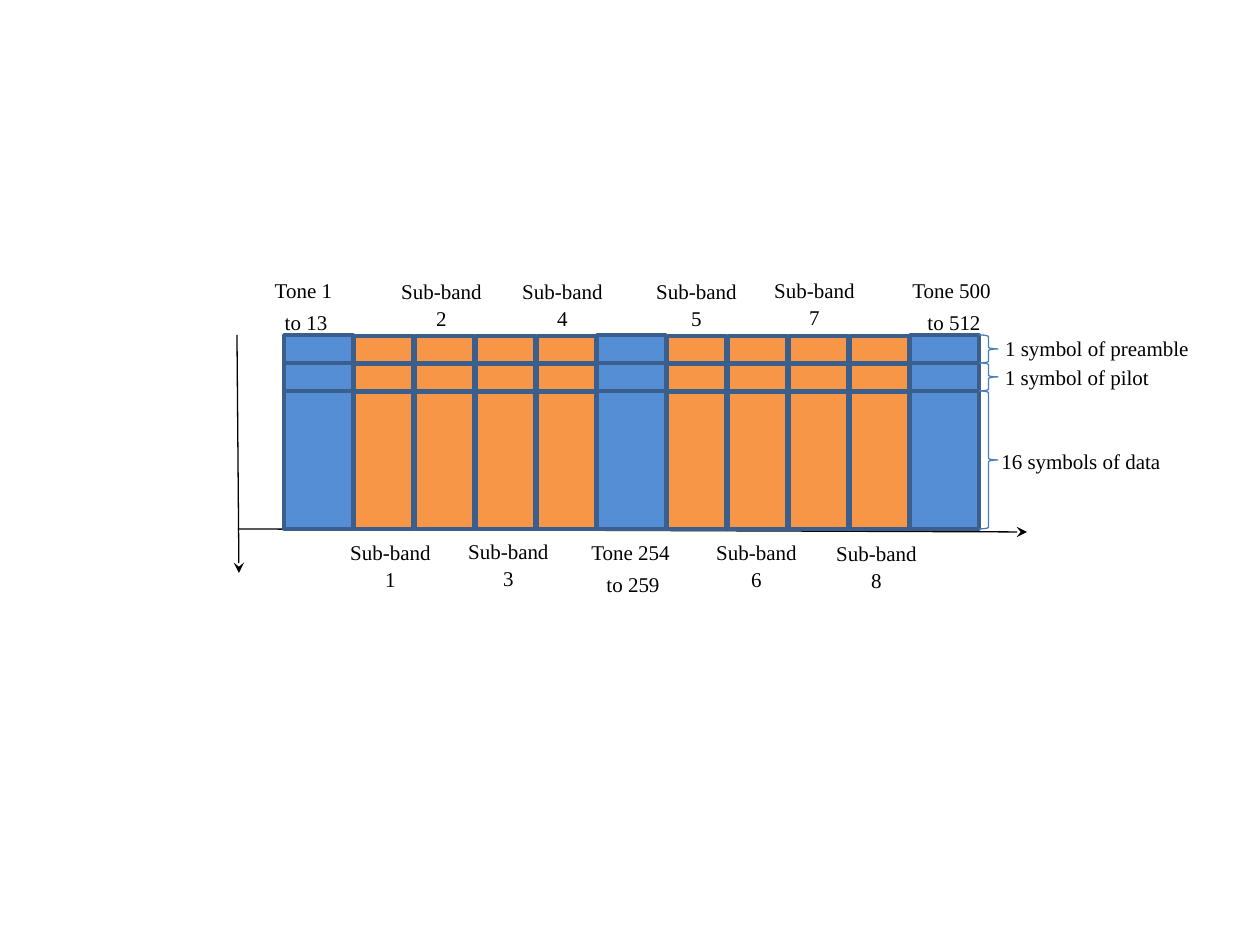
from pptx import Presentation
from pptx.dml.color import RGBColor
from pptx.enum.shapes import MSO_CONNECTOR as Conn, MSO_SHAPE as Shape
from pptx.enum.text import PP_ALIGN as Align
from pptx.util import Pt
from lxml.etree import SubElement
from pptx.oxml.ns import qn

PX = 914400 // 126
BLUE, ORANGE, EDGE, BRACE, BLACK = "558ED5", "F79646", "3A5F8C", "4B7EBC", "000000"

# Rows from the bottom up: top, height
ROWS = [(391, 138), (363, 28), (335, 28)]
LEFT, GROUP = 284, 313          # first tone column, step to the next one
TONE_W, BAND_W, STEP = 69, 59, 61
BANDS = 4                       # sub-bands between two tone columns

# Axes: start, tip
AXES = [((238, 529), (1027, 532)), ((237, 335), (239, 573))]

# Labels: left, top, lines
TONES = [(234, 270, ["Tone 1", " to 13"]),
         (561, 532, ["Tone 254", " to 259"]),
         (882, 270, ["Tone 500", " to 512"])]
SUBS = [(333, 532), (384, 271), (451, 531), (505, 271),
        (639, 271), (699, 532), (757, 270), (819, 533)]
# Labels: left, top, width, text
NOTES = [(969, 441, 224, "16 symbols of data"),
         (984, 357, 186, "1 symbol of pilot"),
         (985, 328, 224, "1 symbol of preamble")]

prs = Presentation()
prs.slide_width, prs.slide_height = 1260 * PX, 945 * PX
slide = prs.slides.add_slide(prs.slide_layouts[6])
shapes = slide.shapes


def color(hex):
    return RGBColor.from_string(hex)


def place(kind, x, y, w, h, line, width, fill=None):
    shape = shapes.add_shape(kind, x * PX, y * PX, w * PX, h * PX)
    shape.shadow.inherit = False
    if fill:
        shape.fill.solid()
        shape.fill.fore_color.rgb = color(fill)
    else:
        shape.fill.background()
    shape.line.color.rgb = color(line)
    shape.line.width = Pt(width)


def arrow(start, tip):
    line = shapes.add_connector(Conn.STRAIGHT, *(n * PX for n in start + tip))
    line.line.color.rgb = color(BLACK)
    line.line.width = Pt(0.75)
    SubElement(line.line._get_or_add_ln(), qn("a:tailEnd"), type="stealth")
    SubElement(line._element.spPr, qn("a:effectLst"))


def label(lines, x, y, w, h=48, size=12, font="Times New Roman"):
    frame = shapes.add_textbox(x * PX, y * PX, w * PX, h * PX).text_frame
    frame.word_wrap = True
    for i, line in enumerate(lines):
        para = frame.paragraphs[0] if i == 0 else frame.add_paragraph()
        para.text = line
        para.alignment = Align.CENTER
        para.line_spacing = 1.07
        para.space_before = Pt(2.4 if i else 0)
        para.font.size = Pt(size)
        para.font.name = font
        para.font.color.rgb = color(BLACK)


for start, tip in AXES:
    arrow(start, tip)

for top, high in ROWS:
    for group in range(3):
        x = LEFT + group * GROUP
        if group < 2:
            for band in range(BANDS):
                place(Shape.RECTANGLE, x + TONE_W + 1 + band * STEP, top + 1,
                      BAND_W, high - 1, EDGE, 2, ORANGE)
        place(Shape.RECTANGLE, x, top, TONE_W, high, EDGE, 2, BLUE)
    place(Shape.RIGHT_BRACE, LEFT + 2 * GROUP + TONE_W, top, 19, high, BRACE, 0.75)

for x, y, lines in TONES:
    label(lines, x, y, 139, 77)
for n, (x, y) in enumerate(SUBS, 1):
    label([f"Sub-band {n}"], x, y, 115)
for x, y, w, text in NOTES:
    label([text], x, y, w)

prs.save("out.pptx")
